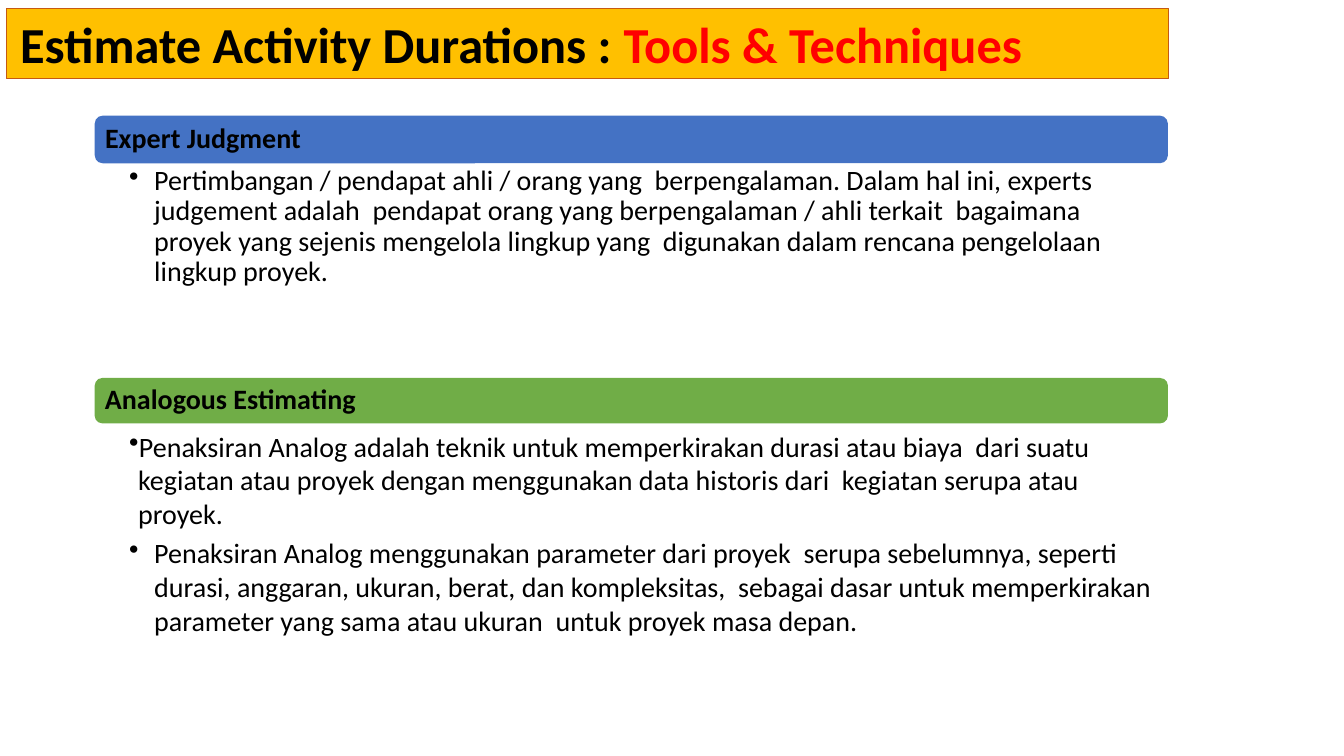
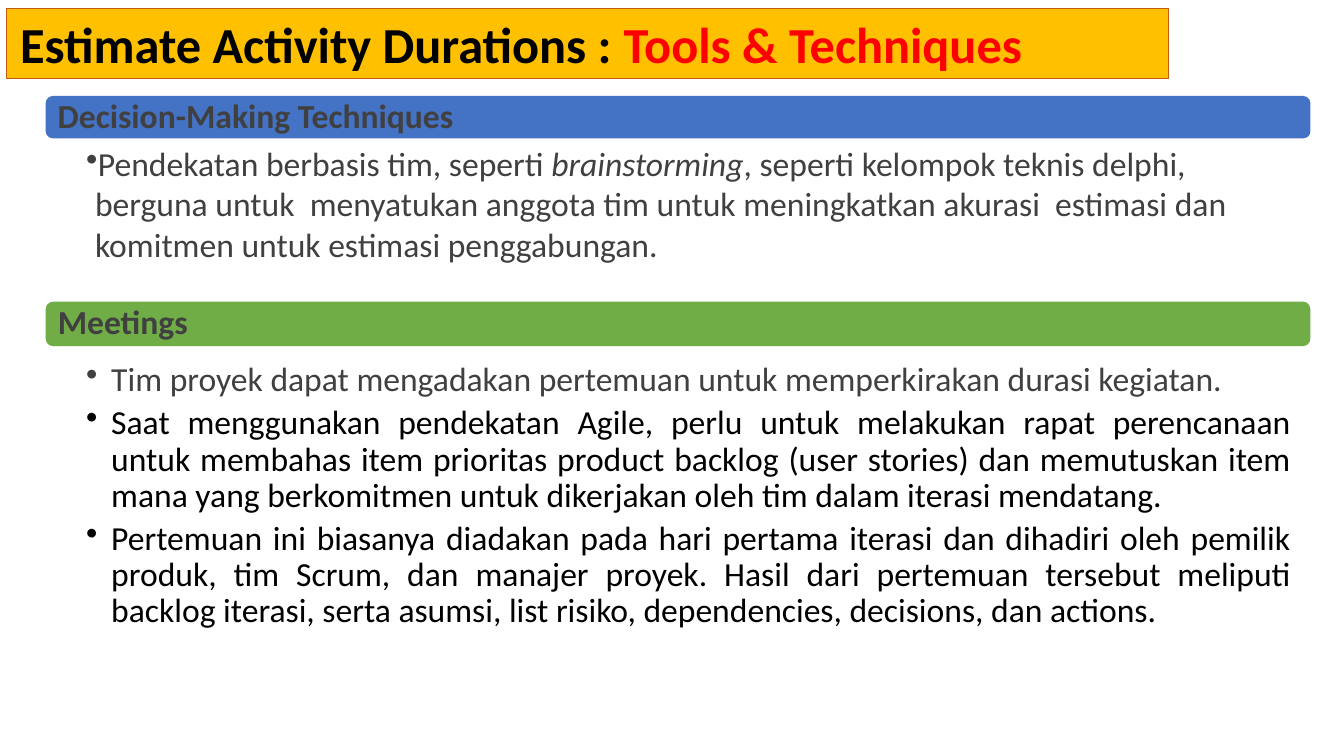
from dataclasses import dataclass

from lxml import etree
from pptx import Presentation
from pptx.dml.color import RGBColor
from pptx.enum.shapes import MSO_SHAPE
from pptx.enum.text import MSO_ANCHOR, PP_ALIGN
from pptx.oxml.ns import qn
from pptx.util import Inches, Pt

RECTANGLE = MSO_SHAPE.RECTANGLE
ROUNDED = MSO_SHAPE.ROUNDED_RECTANGLE
TOP, MIDDLE = MSO_ANCHOR.TOP, MSO_ANCHOR.MIDDLE
LEFT, JUSTIFY = PP_ALIGN.LEFT, PP_ALIGN.JUSTIFY
SLIDE_WIDTH, SLIDE_HEIGHT = Inches(13.33), Inches(7.5)
COLUMN, ROW = SLIDE_WIDTH / 100, SLIDE_HEIGHT / 100
HANGING, TIGHT = 0.25, 0.09


@dataclass(frozen=True)
class Theme:
    font: str = "Calibri"
    black: str = "000000"
    gray: str = "404040"
    red: str = "FF0000"
    gold: str = "FFC000"
    rust: str = "C55A11"
    blue: str = "4472C4"
    green: str = "70AD47"
    title_size: int = 36
    border: float = 0.75
    tight_lines: float = 0.9
    after_share: float = 0.2


THEME = Theme()


@dataclass(frozen=True)
class Box:
    left: float
    top: float
    width: float
    height: float

    def band(self, offset, height):
        return Box(self.left, self.top + offset, self.width, height)

    def place(self):
        return (round(self.left * COLUMN), round(self.top * ROW),
                round(self.width * COLUMN), round(self.height * ROW))


@dataclass(frozen=True)
class Style:
    size: int
    color: str
    heading_inset: float
    body_insets: tuple


@dataclass(frozen=True)
class Bullet:
    runs: tuple
    indent: float = HANGING
    spacing: float = 1.0
    align: PP_ALIGN = LEFT


@dataclass(frozen=True)
class Section:
    heading: str
    fill: str
    top: float
    height: float
    heading_rows: float
    gap: float
    bullets: tuple


TITLE_BOX = Box(0.45, 1.1, 86.5, 9.3)
TITLE_RUNS = (
    ("Estimate Activity Durations : ", {}),
    ("Tools & Techniques", {"color": THEME.red}),
)

SLIDES = (
    (7.05, 79.85, Style(20, THEME.black, 0.08, (0.34, 0.03, 0.16, 0.03)), (
        Section("Expert Judgment", THEME.blue, 15.3, 35, 6.3, 0, (
            Bullet((("Pertimbangan / pendapat ahli / orang yang  berpengalaman. Dalam hal ini, "
                     "experts judgement adalah  pendapat orang yang berpengalaman / ahli terkait  "
                     "bagaimana proyek yang sejenis mengelola lingkup yang  digunakan dalam rencana "
                     "pengelolaan lingkup proyek.", {}),), spacing=THEME.tight_lines),
        )),
        Section("Analogous Estimating", THEME.green, 50, 48.3, 6, 0.4, (
            Bullet((("Penaksiran Analog adalah teknik untuk memperkirakan durasi atau biaya  dari "
                     "suatu kegiatan atau proyek dengan menggunakan data historis dari  kegiatan "
                     "serupa atau proyek.", {}),), TIGHT),
            Bullet((("Penaksiran Analog menggunakan parameter dari proyek  serupa sebelumnya, "
                     "seperti durasi, anggaran, ukuran, berat, dan kompleksitas,  sebagai dasar "
                     "untuk memperkirakan parameter yang sama atau ukuran  untuk proyek masa "
                     "depan.", {}),)),
        )),
    )),
    (3.4, 94.1, Style(24, THEME.gray, 0.1, (0.4, 0.03, 0.19, 0.03)), (
        Section("Decision-Making Techniques", THEME.blue, 12.7, 29.1, 5.6, 0.2, (
            Bullet((
                ("Pendekatan berbasis tim, seperti ", {}),
                ("brainstorming", {"italic": True}),
                (", seperti kelompok teknis delphi, berguna untuk  menyatukan anggota tim untuk "
                 "meningkatkan akurasi  estimasi dan komitmen untuk estimasi penggabungan.", {}),
            ), TIGHT),
        )),
        Section("Meetings", THEME.green, 39.9, 58, 5.9, 1.8, tuple(
            Bullet(((text, {"color": color}),), HANGING, THEME.tight_lines, JUSTIFY)
            for text, color in (
                ("Tim proyek dapat mengadakan pertemuan untuk memperkirakan durasi kegiatan.",
                 THEME.gray),
                ("Saat menggunakan pendekatan Agile, perlu untuk melakukan rapat perencanaan untuk "
                 "membahas item prioritas product backlog (user stories) dan memutuskan item mana "
                 "yang berkomitmen untuk dikerjakan oleh tim dalam iterasi mendatang.", THEME.black),
                ("Pertemuan ini biasanya diadakan pada hari pertama iterasi dan dihadiri oleh "
                 "pemilik produk, tim Scrum, dan manajer proyek. Hasil dari pertemuan tersebut "
                 "meliputi backlog iterasi, serta asumsi, list risiko, dependencies, decisions, "
                 "dan actions.", THEME.black),
            )
        )),
    )),
)


def set_attributes(target, values):
    for name, value in values.items():
        setattr(target, name, value)


def set_frame(frame, insets, anchor):
    left, top, right, bottom = (Inches(inset) for inset in insets)
    set_attributes(frame, {
        "margin_left": left, "margin_top": top, "margin_right": right,
        "margin_bottom": bottom, "vertical_anchor": anchor, "word_wrap": True,
    })


def add_runs(paragraph, runs, size, color, bold=False):
    for text, changes in runs:
        run = paragraph.add_run()
        run.text = text
        values = {"name": THEME.font, "size": Pt(size), "bold": bold, **changes}
        run.font.color.rgb = RGBColor.from_string(values.pop("color", color))
        set_attributes(run.font, values)


def add_bar(slide, kind, box, fill, border=None):
    shape = slide.shapes.add_shape(kind, *box.place())
    shape.shadow.inherit = False
    shape.fill.solid()
    shape.fill.fore_color.rgb = RGBColor.from_string(fill)
    if border:
        shape.line.color.rgb = RGBColor.from_string(border)
        shape.line.width = Pt(THEME.border)
    else:
        shape.line.fill.background()
    shape.text_frame.paragraphs[0].alignment = LEFT
    return shape


def add_title(slide, box):
    frame = add_bar(slide, RECTANGLE, box, THEME.gold, THEME.rust).text_frame
    set_frame(frame, (0.14, 0.05, 0.09, 0.05), TOP)
    add_runs(frame.paragraphs[0], TITLE_RUNS, THEME.title_size, THEME.black, True)


def add_heading(slide, box, section, style):
    frame = add_bar(slide, ROUNDED, box, section.fill).text_frame
    set_frame(frame, (style.heading_inset, 0, style.heading_inset, 0), MIDDLE)
    paragraph = frame.paragraphs[0]
    paragraph.line_spacing = THEME.tight_lines
    add_runs(paragraph, ((section.heading, {}),), style.size, style.color, True)


def add_bullets(slide, box, bullets, style):
    frame = slide.shapes.add_textbox(*box.place()).text_frame
    set_frame(frame, style.body_insets, TOP)
    for index, bullet in enumerate(bullets):
        paragraph = frame.add_paragraph() if index else frame.paragraphs[0]
        properties = paragraph._p.get_or_add_pPr()
        properties.set("marL", str(Inches(bullet.indent)))
        properties.set("indent", str(-Inches(bullet.indent)))
        etree.SubElement(properties, qn("a:buChar")).set("char", "•")
        set_attributes(paragraph, {
            "level": 1, "alignment": bullet.align, "line_spacing": bullet.spacing,
            "space_before": Pt(0), "space_after": Pt(style.size * THEME.after_share),
        })
        add_runs(paragraph, bullet.runs, style.size, style.color)


def add_section(slide, box, section, style):
    body_top = section.heading_rows + section.gap
    add_heading(slide, box.band(0, section.heading_rows), section, style)
    add_bullets(slide, box.band(body_top, box.height - body_top), section.bullets, style)


def main():
    presentation = Presentation()
    set_attributes(presentation, {"slide_width": SLIDE_WIDTH, "slide_height": SLIDE_HEIGHT})
    for left, width, style, sections in SLIDES:
        slide = presentation.slides.add_slide(presentation.slide_layouts[6])
        add_title(slide, TITLE_BOX)
        for section in sections:
            box = Box(left, section.top, width, section.height)
            add_section(slide, box, section, style)
    presentation.save("out.pptx")


if __name__ == "__main__":
    main()
